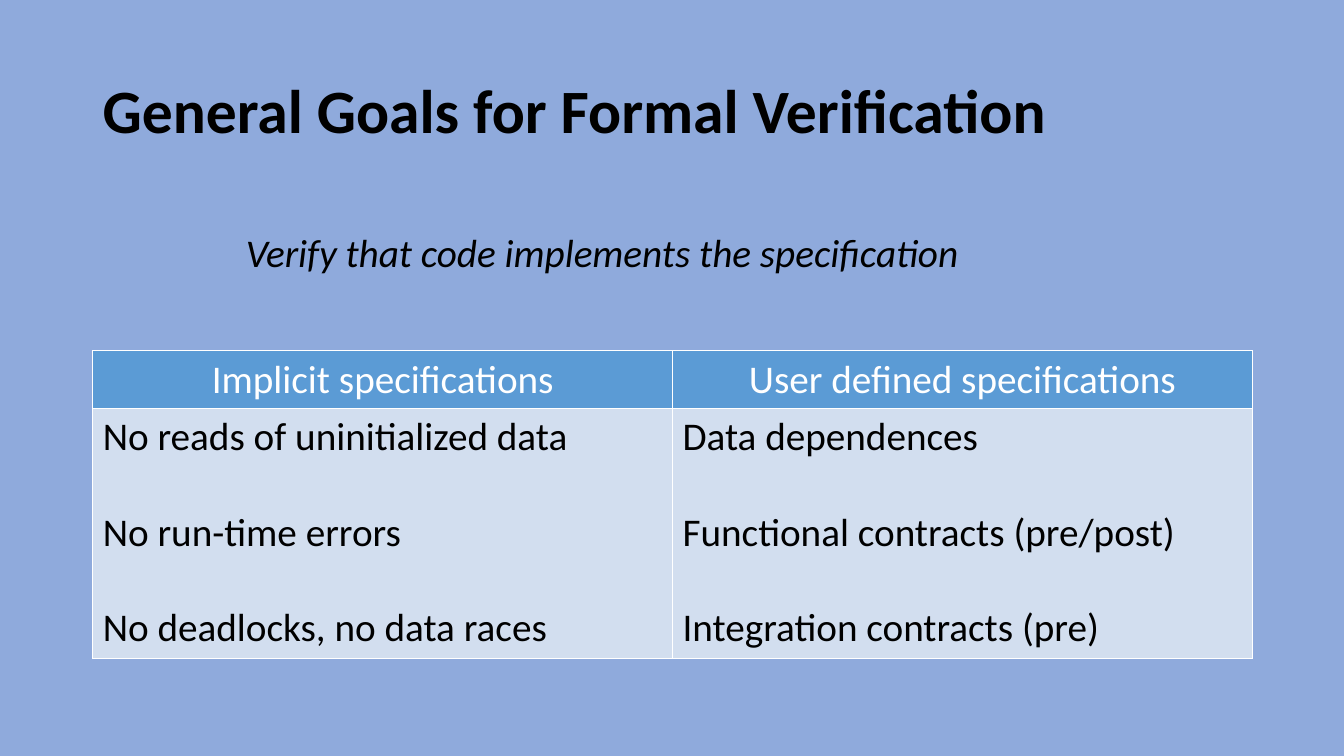
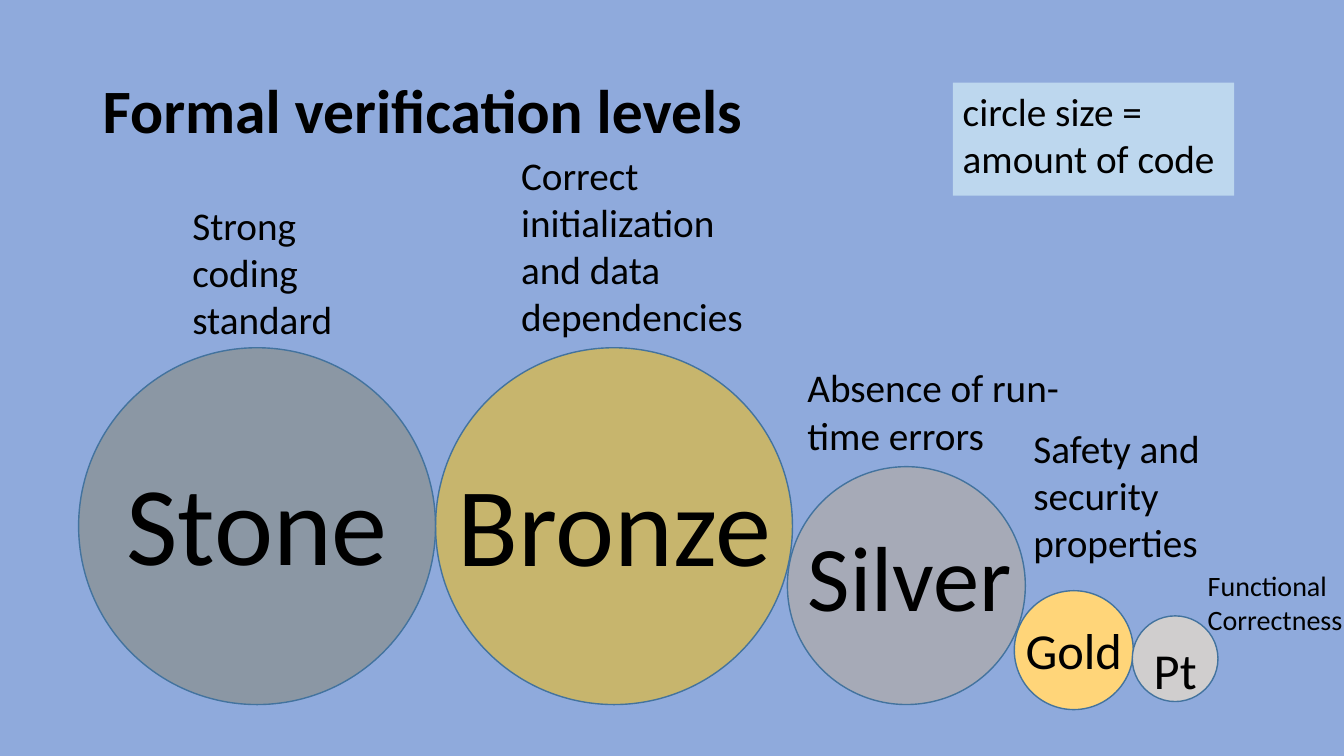
from lxml.etree import SubElement
from pptx import Presentation
from pptx.dml.color import RGBColor
from pptx.enum.shapes import MSO_SHAPE
from pptx.enum.text import MSO_ANCHOR, PP_ALIGN
from pptx.oxml.ns import qn
from pptx.util import Inches, Pt

COLORS = {
    "background": "8FAADC",
    "text": "000000",
    "white": "FFFFFF",
    "header": "5B9BD5",
    "body": "D2DEEF",
    "key": "BDD7EE",
    "outline": "43739E",
    "stone": "806000",
    "bronze": "FFC000",
    "silver": "AFABAB",
    "gold": "FFD579",
    "platinum": "D0CECE",
}
FONT = "Calibri"
BODY_SIZE = 28

SPECIFICATIONS = {
    "Implicit specifications": [
        "No reads of uninitialized data",
        "No run-time errors",
        "No deadlocks, no data races",
    ],
    "User defined specifications": [
        "Data dependences",
        "Functional contracts (pre/post)",
        "Integration contracts (pre)",
    ],
}

# color, opacity, (left, top, diameter), name, name box, name size
LEVELS = [
    ("gold", 100, (10.06, 5.86, 1.18), "Gold", (9.94, 6.09, 1.42, 0.61), 36),
    ("silver", 75, (7.81, 4.63, 2.36), "Silver", (7.7, 5.1, 2.65, 0.99), 66),
    ("bronze", 50, (4.32, 3.45, 3.54), "Bronze", (4.36, 4.46, 3.47, 1.52), 80),
    ("stone", 25, (0.78, 3.45, 3.54), "Stone", (0.58, 4.45, 3.94, 1.62), 80),
    ("platinum", 100, (11.23, 6.11, 0.85), "Pt", (11.23, 6.29, 0.85, 0.52), 36),
]

CAPTIONS = [
    (["Strong coding standard"], (1.81, 1.95, 1.87, 1.66), BODY_SIZE),
    (["Correct", "initialization", "and data dependencies"],
     (5.07, 1.45, 3.37, 2.16), BODY_SIZE),
    (["Absence of run-time errors"], (7.91, 3.56, 2.7, 1.66), BODY_SIZE),
    (["Safety and", "security", "properties"], (10.15, 4.16, 3.1, 1.66), BODY_SIZE),
    (["Functional", "Correctness"], (11.88, 5.59, 1.66, 0.8), 20),
]


def rgb(name):
    return RGBColor.from_string(COLORS[name])


def write(frame, lines, size=BODY_SIZE, color="text", align=PP_ALIGN.LEFT,
          bold=False, italic=False, gap=0):
    frame.word_wrap = True
    frame.text = "\n".join(lines)
    for index, paragraph in enumerate(frame.paragraphs):
        paragraph.alignment = align
        if index and gap:
            paragraph.space_before = Pt(gap)
        for run in paragraph.runs:
            run.font.name = FONT
            run.font.size = Pt(size)
            run.font.bold = bold
            run.font.italic = italic
            run.font.color.rgb = rgb(color)


def add_text(slide, box, lines, **style):
    frame = slide.shapes.add_textbox(*map(Inches, box)).text_frame
    write(frame, lines, **style)
    return frame


def add_titled_slide(prs, title):
    slide = prs.slides.add_slide(prs.slide_layouts[6])
    frame = add_text(slide, (0.92, 0.4, 11.5, 1.45), [title], size=44, bold=True)
    frame.vertical_anchor = MSO_ANCHOR.MIDDLE
    frame.paragraphs[0].line_spacing = 0.9
    return slide


def add_filled(slide, preset, box, color, opacity=100):
    shape = slide.shapes.add_shape(preset, *map(Inches, box))
    shape.shadow.inherit = False
    shape.fill.solid()
    shape.fill.fore_color.rgb = rgb(color)
    if opacity < 100:
        tint = shape.fill._xPr.find(qn("a:solidFill"))[0]
        SubElement(tint, qn("a:alpha"), val=str(opacity * 1000))
    return shape


def add_circle(slide, left, top, diameter, color, opacity):
    box = (left, top, diameter, diameter)
    circle = add_filled(slide, MSO_SHAPE.OVAL, box, color, opacity)
    circle.line.color.rgb = rgb("outline")
    circle.line.width = Pt(1)


def add_key(slide, box, text):
    key = add_filled(slide, MSO_SHAPE.RECTANGLE, box, "key")
    key.line.fill.background()
    key.text_frame.vertical_anchor = MSO_ANCHOR.TOP
    write(key.text_frame, [text])


def style_cell(cell, color):
    properties = cell._tc.get_or_add_tcPr()
    for side in ("lnL", "lnR", "lnT", "lnB"):
        border = SubElement(properties, qn(f"a:{side}"), w=str(Pt(1)))
        fill = SubElement(border, qn("a:solidFill"))
        SubElement(fill, qn("a:srgbClr"), val=COLORS["white"])
    cell.fill.solid()
    cell.fill.fore_color.rgb = rgb(color)


def add_specification_table(slide, box, header_height):
    table = slide.shapes.add_table(
        2, len(SPECIFICATIONS), *map(Inches, box)).table
    table.rows[0].height = Inches(header_height)
    table.rows[1].height = Inches(box[3] - header_height)
    for column, (heading, goals) in enumerate(SPECIFICATIONS.items()):
        header, body = table.cell(0, column), table.cell(1, column)
        style_cell(header, "header")
        write(header.text_frame, [heading], color="white", align=PP_ALIGN.CENTER)
        style_cell(body, "body")
        write(body.text_frame, goals, gap=34)


def build_goals(prs):
    slide = add_titled_slide(prs, "General Goals for Formal Verification")
    add_specification_table(slide, (0.92, 3.48, 11.5, 3.05), 0.57)
    add_text(slide, (2.34, 2.22, 7.36, 0.57),
             ["Verify that code implements the specification"], italic=True)


def build_levels(prs):
    slide = add_titled_slide(prs, "Formal verification levels")
    for color, opacity, circle, name, name_box, size in LEVELS:
        add_circle(slide, *circle, color, opacity)
        add_text(slide, name_box, [name], size=size, align=PP_ALIGN.CENTER)
    for lines, box, size in CAPTIONS:
        add_text(slide, box, lines, size=size)
    add_key(slide, (9.45, 0.82, 2.79, 1.12), "circle size = amount of code")


def main():
    prs = Presentation()
    prs.slide_width, prs.slide_height = Inches(13.33), Inches(7.5)
    backdrop = prs.slide_master.background.fill
    backdrop.solid()
    backdrop.fore_color.rgb = rgb("background")
    build_goals(prs)
    build_levels(prs)
    prs.save("out.pptx")


if __name__ == "__main__":
    main()
